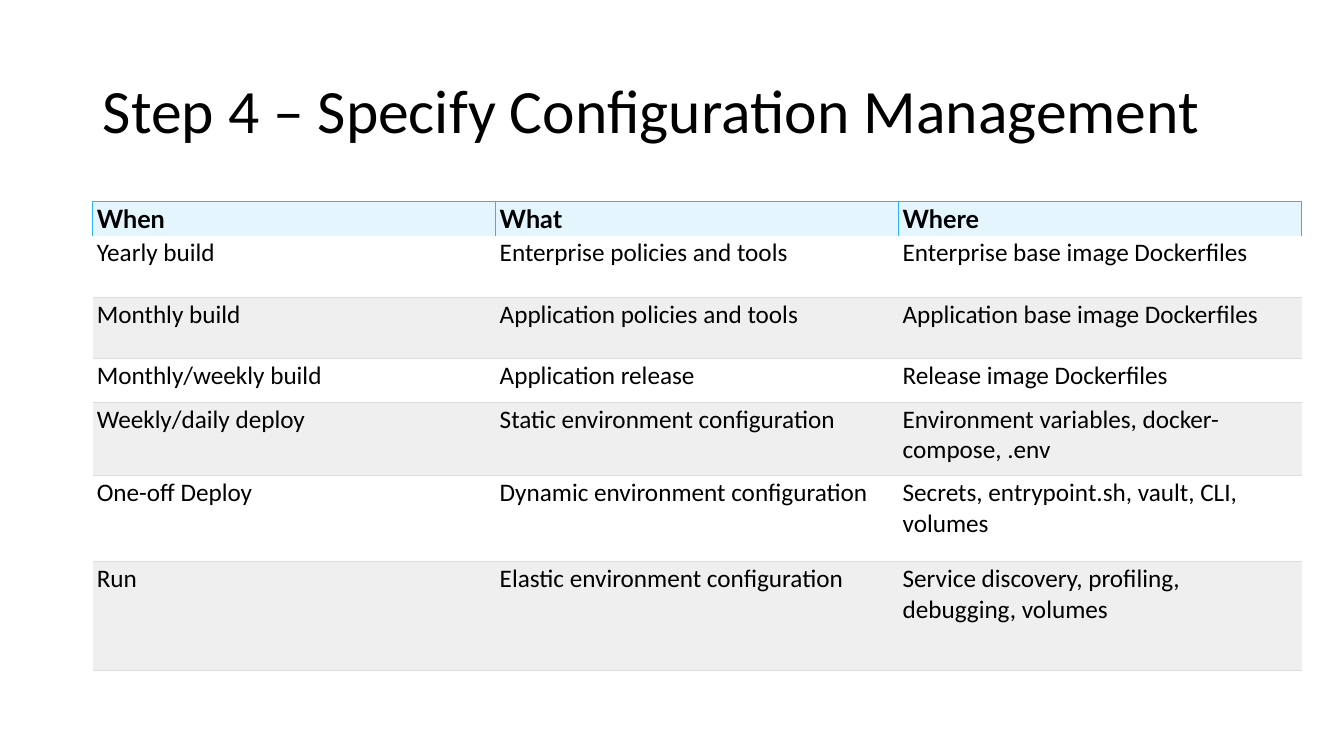
from dataclasses import dataclass

from lxml.etree import SubElement
from pptx import Presentation
from pptx.dml.color import RGBColor
from pptx.enum.text import MSO_ANCHOR, PP_ALIGN
from pptx.oxml.ns import qn
from pptx.util import Inches, Pt


@dataclass(frozen=True)
class Theme:
    text: str = "000000"
    header_fill: str = "E5F5FE"
    header_line: str = "30B3F6"
    row_line: str = "DDDDDD"
    row_fills: tuple = ("FFFFFF", "EFEFEF")
    heading_font: str = "Lato"
    body_font: str = "Calibri"
    title_size: int = 44
    table_size: int = 18


THEME = Theme()


def write(frame, text, *, size, font=THEME.body_font, bold=False, spacing=None):
    paragraph = frame.paragraphs[0]
    paragraph.alignment = PP_ALIGN.LEFT
    paragraph.line_spacing = spacing
    run = paragraph.add_run()
    run.text = text
    run.font.size = Pt(size)
    run.font.name = font
    run.font.bold = bold
    run.font.color.rgb = RGBColor.from_string(THEME.text)


def set_borders(cell, sides, color, width):
    """Draw the sides named by letters in sides (L, R, T, B) and clear the rest."""
    properties = cell._tc.get_or_add_tcPr()
    for side in "LRTB":
        line = SubElement(properties, qn(f"a:ln{side}"), w=str(Pt(width)))
        if side in sides:
            fill = SubElement(line, qn("a:solidFill"))
            SubElement(fill, qn("a:srgbClr"), val=color)
        else:
            SubElement(line, qn("a:noFill"))


prs = Presentation()
prs.slide_width, prs.slide_height = Inches(13.33), Inches(7.5)
slide = prs.slides.add_slide(prs.slide_layouts[5])

title = slide.shapes.title
title.left, title.top = Inches(0.92), Inches(0.4)
title.width, title.height = Inches(11.5), Inches(1.45)
title.text_frame.vertical_anchor = MSO_ANCHOR.MIDDLE
write(title.text_frame, "Step 4 – Specify Configuration Management",
      size=THEME.title_size, spacing=0.9)

schedule = [
    (0.31, "When", "What", "Where"),
    (0.61, "Yearly build", "Enterprise policies and tools",
     "Enterprise base image Dockerfiles"),
    (0.61, "Monthly build", "Application policies and tools",
     "Application base image Dockerfiles"),
    (0.43, "Monthly/weekly build", "Application release",
     "Release image Dockerfiles"),
    (0.73, "Weekly/daily deploy", "Static environment configuration",
     "Environment variables, docker-compose, .env"),
    (0.85, "One-off Deploy", "Dynamic environment configuration",
     "Secrets, entrypoint.sh, vault, CLI, volumes"),
    (1.08, "Run", "Elastic environment configuration",
     "Service discovery, profiling, debugging, volumes"),
]

table = slide.shapes.add_table(
    len(schedule), 3, Inches(0.92), Inches(2), Inches(11.99), Inches(4.62)
).table
table.first_row = False
table.horz_banding = False

for row_index, (height, *entries) in enumerate(schedule):
    table.rows[row_index].height = Inches(height)
    is_header = row_index == 0
    for column_index, entry in enumerate(entries):
        cell = table.cell(row_index, column_index)
        cell.margin_left = cell.margin_right = Inches(0.04)
        cell.margin_top = cell.margin_bottom = Inches(0.02)
        if is_header:
            set_borders(cell, "LRT", THEME.header_line, 1)
            fill_color, font = THEME.header_fill, THEME.heading_font
        else:
            set_borders(cell, "B" if row_index == 1 else "TB", THEME.row_line, 0.5)
            fill_color, font = THEME.row_fills[(row_index - 1) % 2], THEME.body_font
        cell.fill.solid()
        cell.fill.fore_color.rgb = RGBColor.from_string(fill_color)
        write(cell.text_frame, entry, size=THEME.table_size, font=font, bold=is_header)

prs.save("out.pptx")
